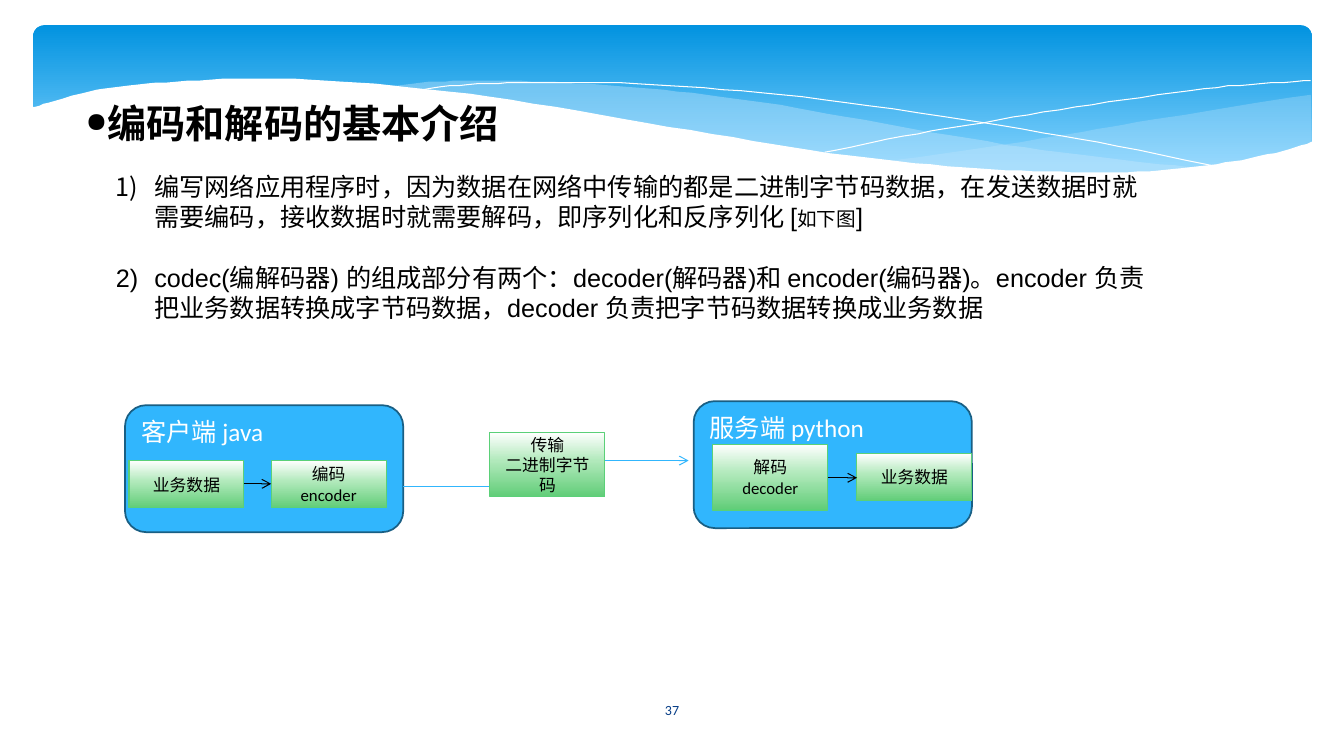
from copy import deepcopy
from dataclasses import dataclass
from typing import NamedTuple

from lxml import etree
from pptx import Presentation
from pptx.dml.color import RGBColor
from pptx.enum.shapes import MSO_CONNECTOR, MSO_SHAPE
from pptx.enum.text import MSO_ANCHOR, MSO_AUTO_SIZE, PP_ALIGN
from pptx.oxml.ns import qn
from pptx.util import Emu, Pt

ROUNDED, RECT = MSO_SHAPE.ROUNDED_RECTANGLE, MSO_SHAPE.RECTANGLE
STRAIGHT, ELBOW = MSO_CONNECTOR.STRAIGHT, MSO_CONNECTOR.ELBOW
TOP, MIDDLE = MSO_ANCHOR.TOP, MSO_ANCHOR.MIDDLE
LEFT, CENTER = PP_ALIGN.LEFT, PP_ALIGN.CENTER
NO_AUTOFIT = MSO_AUTO_SIZE.NONE
EMU_PER_PX = 9144  # 100 px to the inch


@dataclass(frozen=True)
class Theme:
    heading_font: str = "Calibri"
    body_font: str = "Arial"
    black: str = "000000"
    white: str = "FFFFFF"
    number: str = "073E87"
    host: str = "31B6FD"
    host_edge: str = "195F84"
    step_edge: str = "5BD078"
    wave: str = "C6E7FC"
    band_stops: tuple = ((0, "0293E0"), (0.9, "83D3FE"))
    step_stops: tuple = ((0, "FFFFFF"), (0.44, "B1E9BB"), (1, "61CD78"))
    title_size: int = 28
    body_size: int = 18
    note_size: int = 14
    step_size: int = 12
    number_size: int = 10


class Box(NamedTuple):
    left: int
    top: int
    width: int
    height: int


class Wave(NamedTuple):
    edges: tuple  # each edge is a smooth run of points
    fill: str | None
    opacity: int = 100


class Step(NamedTuple):
    box: Box
    lines: tuple


class Host(NamedTuple):
    box: Box
    label: str


class Arrow(NamedTuple):
    kind: int
    start: tuple
    end: tuple
    color: str


THEME = Theme()

WAVES = (
    Wave((((1300, 94), (1147, 118), (1073, 131), (972, 147), (882, 160)),
          ((882, 160), (958, 167), (1025, 171), (1085, 172), (1138, 170), (1186, 166),
           (1228, 160), (1266, 152), (1301, 142))), THEME.wave, 29),
    Wave((((1190, 167), (1116, 159), (1034, 149), (941, 134), (839, 116), (759, 102), (686, 92),
           (619, 86), (560, 82), (506, 80), (459, 80), (418, 82), (382, 86)),
          ((382, 86), (431, 90), (511, 101), (599, 116), (706, 135), (802, 150), (887, 161),
           (963, 168), (1030, 172), (1090, 173), (1143, 171), (1190, 167))), THEME.wave, 40),
    Wave((((412, 90), (438, 86), (484, 83), (535, 82), (600, 82), (680, 86), (775, 94),
           (886, 108), (1014, 128), (1108, 145), (1210, 166)),), None),
    Wave((((818, 151), (896, 135), (961, 124), (1035, 111), (1115, 99), (1194, 88),
           (1250, 83), (1300, 80)),), None),
    Wave((((31, 107), (48, 102), (88, 91), (127, 85), (176, 81), (235, 78), (306, 79), (390, 85),
           (486, 96), (596, 114), (706, 133), (804, 149), (891, 160), (969, 167), (1037, 170),
           (1097, 171), (1151, 169), (1198, 164), (1240, 157), (1279, 148), (1303, 140)),
          ((1303, 224), (31, 224))), THEME.white),
)

POINTS = (
    (("编写网络应用程序时，因为数据在网络中传输的都是二进制字节码数据，在发送数据时就需要编码，"
      "接收数据时就需要解码，即序列化和反序列化 [", THEME.body_size),
     ("如下图", THEME.note_size), ("]", THEME.body_size)),
    (("codec(编解码器) 的组成部分有两个：decoder(解码器)和 encoder(编码器)。"
      "encoder 负责把业务数据转换成字节码数据，decoder 负责把字节码数据转换成业务数据",
      THEME.body_size),),
)

DIAGRAM = (
    Host(Box(124, 402, 276, 126), "客户端 java"),
    Step(Box(128, 457, 114, 47), ("业务数据",)),
    Step(Box(269, 457, 114, 47), ("编码", "encoder")),
    Host(Box(688, 398, 276, 126), "服务端 python"),
    Arrow(ELBOW, (400, 483), (683, 457), THEME.host),
    Step(Box(486, 429, 114, 64), ("传输", "二进制字节码")),
    Step(Box(707, 441, 114, 65), ("解码", "decoder")),
    Step(Box(850, 450, 114, 47), ("业务数据",)),
    Arrow(STRAIGHT, (242, 480), (269, 480), THEME.black),
    Arrow(STRAIGHT, (821, 474), (850, 474), THEME.black),
)


def px(*lengths: int) -> list:
    return [Emu(length * EMU_PER_PX) for length in lengths]


def rgb(color: str) -> RGBColor:
    return RGBColor.from_string(color)


def add_run(paragraph, text: str, size: int, color: str, font: str, bold: bool = False) -> None:
    run = paragraph.add_run()
    run.text = text
    run.font.size, run.font.name, run.font.bold = Pt(size), font, bold
    run.font.color.rgb = rgb(color)


def write_lines(frame, lines: tuple, size: int, color: str, align, anchor) -> None:
    frame.word_wrap, frame.vertical_anchor = True, anchor
    for index, line in enumerate(lines):
        paragraph = frame.add_paragraph() if index else frame.paragraphs[0]
        paragraph.alignment = align
        add_run(paragraph, line, size, color, THEME.heading_font)


def set_bullet(paragraph, margin: int, indent: int, *marks: tuple) -> None:
    props = paragraph._p.get_or_add_pPr()
    props.set("marL", str(margin * EMU_PER_PX))
    props.set("indent", str(indent * EMU_PER_PX))
    for tag, attributes in marks:
        etree.SubElement(props, qn(tag), attributes)


def fill_gradient(shape, stops: tuple) -> None:
    shape.fill.gradient()
    shape.fill.gradient_angle = 270
    stop_list = shape.element.find(".//" + qn("a:gsLst"))
    while len(stop_list) < len(stops):
        stop_list.append(deepcopy(stop_list[-1]))
    for stop, (position, color) in zip(shape.fill.gradient_stops, stops):
        stop.position, stop.color.rgb = position, rgb(color)


def add_panel(slide, kind, box: Box, fill, edge: str | None, width: float = 0):
    panel = slide.shapes.add_shape(kind, *px(*box))
    panel.shadow.inherit = False
    if isinstance(fill, tuple):
        fill_gradient(panel, fill)
    else:
        panel.fill.solid()
        panel.fill.fore_color.rgb = rgb(fill)
    if edge:
        panel.line.color.rgb, panel.line.width = rgb(edge), Pt(width)
    else:
        panel.line.fill.background()
    return panel


def smooth(points: tuple, steps: int = 5) -> list:
    """Catmull-Rom curve through the points."""
    padded = (points[0], *points, points[-1])
    curve = [points[0]]
    for a, b, c, d in zip(padded, padded[1:], padded[2:], padded[3:]):
        for t in (step / steps for step in range(1, steps + 1)):
            curve.append(tuple(
                (2 * q + (r - p) * t + (2 * p - 5 * q + 4 * r - s) * t ** 2
                 + (3 * q - p - 3 * r + s) * t ** 3) / 2
                for p, q, r, s in zip(a, b, c, d)))
    return curve


def add_wave(slide, wave: Wave) -> None:
    outline = [point for edge in wave.edges for point in smooth(edge)]
    builder = slide.shapes.build_freeform(*outline[0], scale=EMU_PER_PX)
    builder.add_line_segments(outline[1:], close=wave.fill is not None)
    shape = builder.convert_to_shape()
    shape.shadow.inherit = False
    if wave.fill is None:
        shape.fill.background()
        shape.line.color.rgb, shape.line.width = rgb(THEME.white), Pt(0)
        return
    shape.line.fill.background()
    shape.fill.solid()
    shape.fill.fore_color.rgb = rgb(wave.fill)
    color = shape.element.spPr.find(".//" + qn("a:srgbClr"))
    etree.SubElement(color, qn("a:alpha"), val=str(wave.opacity * 1000))


def add_arrow(slide, arrow: Arrow) -> None:
    connector = slide.shapes.add_connector(arrow.kind, *px(*arrow.start, *arrow.end))
    connector.line.color.rgb, connector.line.width = rgb(arrow.color), Pt(0.75)
    etree.SubElement(connector.line._get_or_add_ln(), qn("a:tailEnd"), type="arrow")
    etree.SubElement(connector.element.spPr, qn("a:effectLst"))


def add_diagram_part(slide, part) -> None:
    if isinstance(part, Arrow):
        add_arrow(slide, part)
    elif isinstance(part, Host):
        host = add_panel(slide, ROUNDED, part.box, THEME.host, THEME.host_edge, 1.25)
        write_lines(host.text_frame, (part.label,), THEME.body_size, THEME.white, LEFT, TOP)
    else:
        step = add_panel(slide, RECT, part.box, THEME.step_stops, THEME.step_edge, 0.75)
        write_lines(step.text_frame, part.lines, THEME.step_size, THEME.black, CENTER, MIDDLE)


def place(placeholder, box: Box, wrap: bool):
    """Move a placeholder to its box, in front of what is drawn so far."""
    placeholder.left, placeholder.top, placeholder.width, placeholder.height = px(*box)
    placeholder.element.getparent().append(placeholder.element)
    frame = placeholder.text_frame
    frame.auto_size, frame.word_wrap, frame.vertical_anchor = NO_AUTOFIT, wrap, TOP
    return frame


def main() -> None:
    deck = Presentation()
    deck.slide_width, deck.slide_height = px(1333, 750)
    slide = deck.slides.add_slide(deck.slide_layouts[1])

    # Header band and waves
    band = add_panel(slide, ROUNDED, Box(33, 25, 1268, 156), THEME.band_stops, None)
    band.adjustments[0] = 0.07
    for wave in WAVES:
        add_wave(slide, wave)

    # Slide number
    number = slide.shapes.add_textbox(*px(582, 684, 169, 40))
    write_lines(number.text_frame, ("37",), THEME.number_size, THEME.number, CENTER, MIDDLE)

    # Title
    heading = place(slide.shapes.title, Box(75, 99, 433, 53), False).paragraphs[0]
    heading.alignment, heading.line_spacing = LEFT, 0.9
    set_bullet(heading, 0, 0, ("a:buSzPct", {"val": "70000"}), ("a:buChar", {"char": "●"}))
    add_run(heading, "编码和解码的基本介绍", THEME.title_size, THEME.black, THEME.heading_font, True)

    # Numbered points
    body = place(slide.placeholders[1], Box(105, 165, 1053, 249), True)
    for index, runs in enumerate(POINTS):
        point = body.add_paragraph() if index else body.paragraphs[0]
        point.space_before = Pt(21.6 if index else 0)
        set_bullet(point, 38, -38, ("a:buAutoNum", {"type": "arabicParenR"}))
        for text, size in runs:
            add_run(point, text, size, THEME.black, THEME.body_font)

    # Codec diagram
    for part in DIAGRAM:
        add_diagram_part(slide, part)

    deck.save("out.pptx")


if __name__ == "__main__":
    main()
